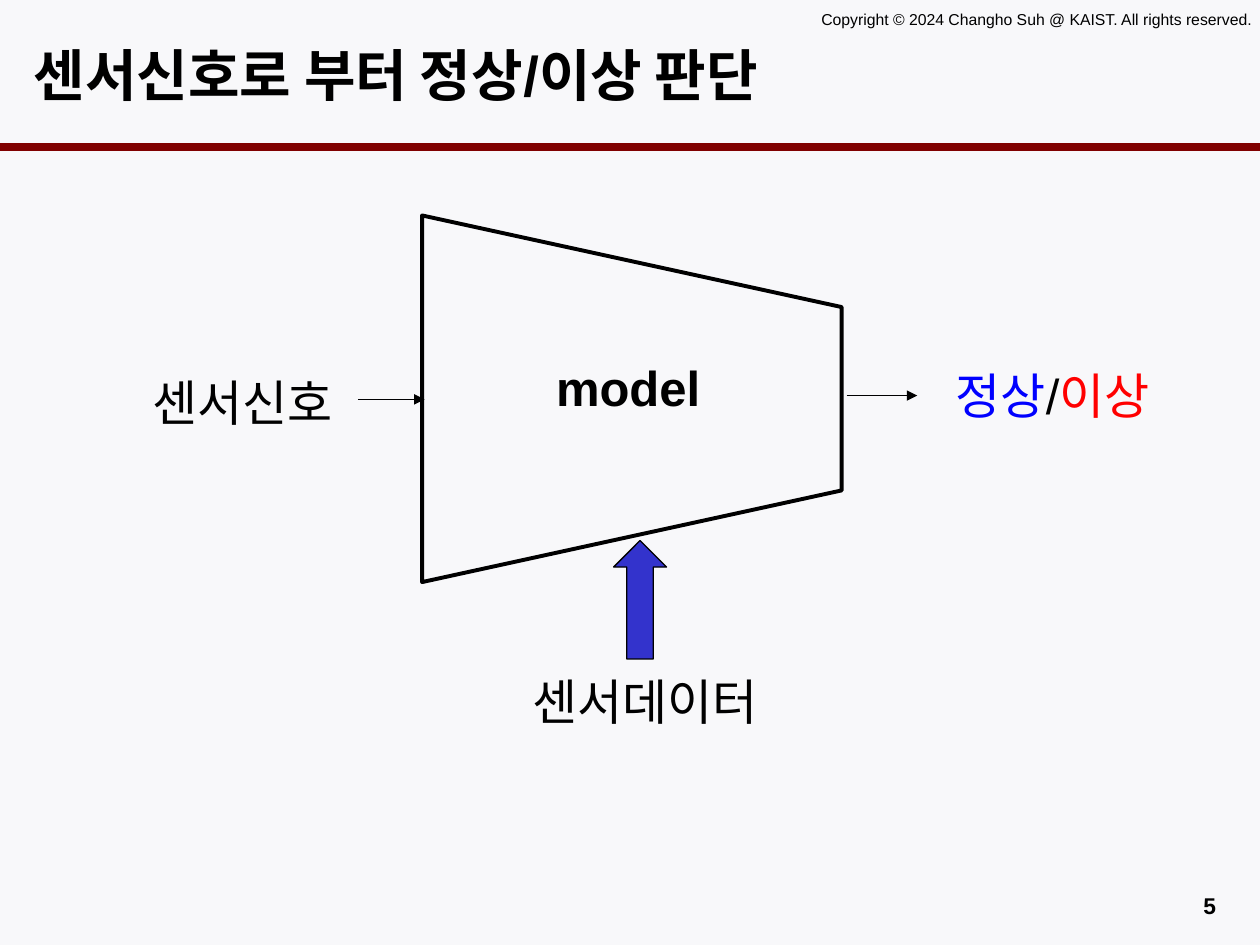
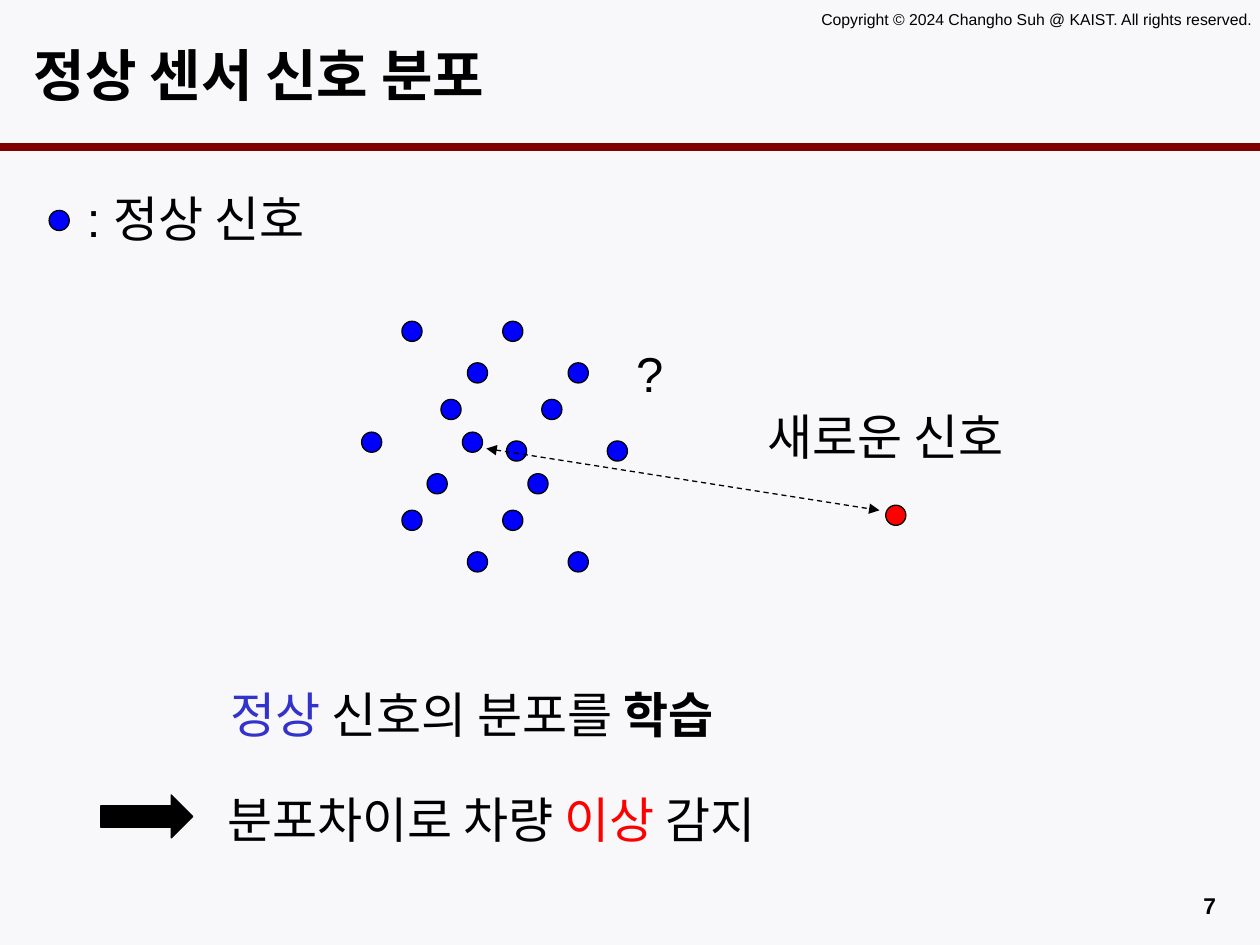
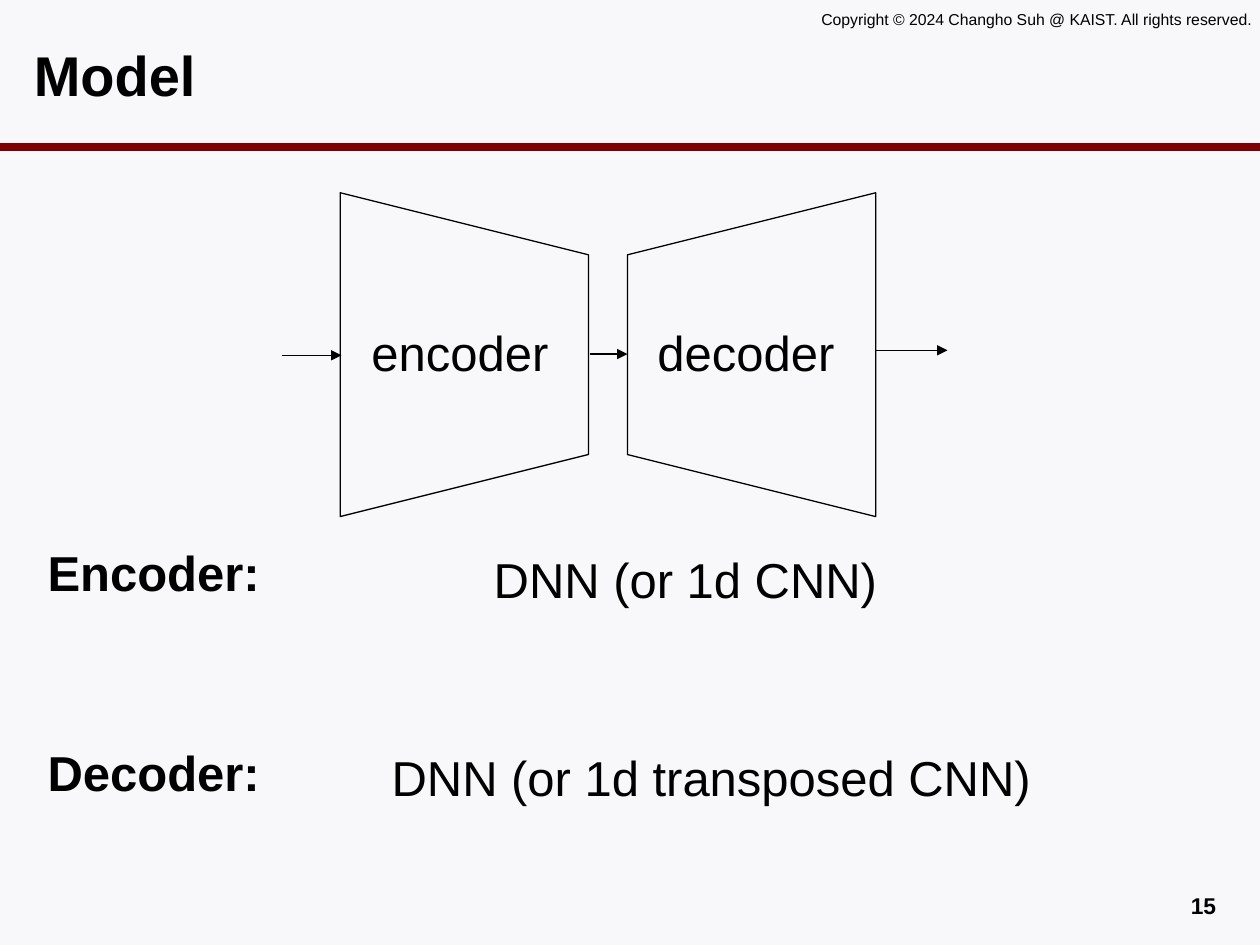
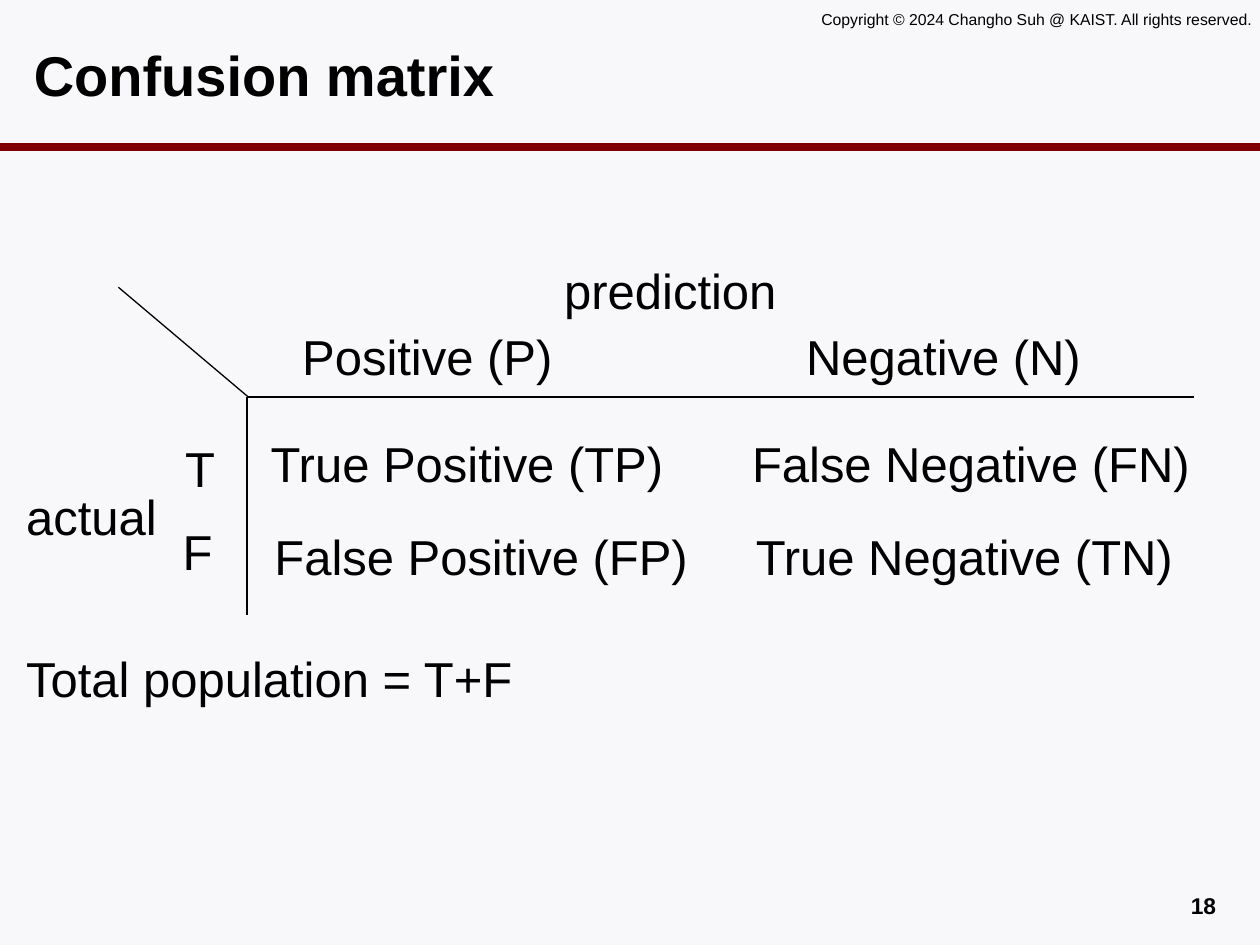
from lxml.etree import SubElement
from pptx import Presentation
from pptx.dml.color import RGBColor
from pptx.enum.dml import MSO_LINE
from pptx.enum.shapes import MSO_CONNECTOR, MSO_SHAPE
from pptx.enum.text import MSO_ANCHOR, MSO_AUTO_SIZE, PP_ALIGN
from pptx.oxml.ns import qn
from pptx.util import Inches, Pt

BACKGROUND = RGBColor(0xF8, 0xF8, 0xFA)
MAROON = RGBColor(0x80, 0x00, 0x00)
BLACK = RGBColor(0x00, 0x00, 0x00)
BLUE = RGBColor(0x00, 0x00, 0xFF)
INDIGO = RGBColor(0x33, 0x33, 0xCC)
RED = RGBColor(0xFF, 0x00, 0x00)

FONT = "Arial"
BODY_SIZE = 28
LABEL_HEIGHT = 0.57
DOT_SIZE = 0.16
THIN = 0.75

COPYRIGHT = "Copyright © 2024 Changho Suh @ KAIST. All rights reserved."

# Labels: text (or runs of text, colour, bold), left, top, width
MODEL_LABELS = [
    ([("정상", BLUE, False), ("/", BLACK, False), ("이상", RED, False)], 7.19, 2.85, 2.33),
    ("센서신호", 0.88, 2.91, 2.09),
    ("센서데이터", 3.81, 5.28, 2.62),
]
DISTRIBUTION_LABELS = [
    ([("정상", INDIGO, False), (" 신호의 분포를 ", BLACK, False), ("학습", BLACK, True)],
     1.73, 5.38, 5.48),
    ("?", 4.95, 2.68, 0.71),
    (": 정상 신호", 0.59, 1.45, 3.08),
    ("새로운 신호", 5.99, 3.18, 2.47),
    ([("분포차이로 차량 ", BLACK, False), ("이상", RED, False), (" 감지", BLACK, False)],
     1.71, 6.22, 8.47),
]
CODER_LABELS = [
    ("DNN (or 1d CNN)", 3.82, 4.31, 3.86),
    ("DNN (or 1d transposed CNN)", 3.01, 5.88, 6.32),
    ([("Encoder:", BLACK, True)], 0.28, 4.26, 2.13),
    ([("Decoder:", BLACK, True)], 0.28, 5.84, 2.13),
]
MATRIX_LABELS = [
    ("prediction", 4.38, 2.02, 2.47),
    ("actual", 0.11, 3.81, 1.45),
    ("Positive (P)", 2.3, 2.54, 3.99),
    ("Negative (N)", 6.3, 2.54, 2.63),
    ("T", 1.37, 3.43, 0.55),
    ("F", 1.35, 4.09, 0.55),
    ("Total population = T+F", 0.11, 5.1, 6.14),
]
# Matrix rows: left, top, texts
MATRIX_ROWS = [
    (2.05, 3.39, ["True Positive (TP)", "False Negative (FN)"]),
    (2.08, 4.13, ["False Positive (FP)", "True Negative (TN)"]),
]
MATRIX_COLUMN_WIDTH = 3.82
MATRIX_LINES = [
    ((0.94, 2.28), (1.97, 3.15)),
    ((1.97, 3.15), (9.48, 3.15)),
    ((1.96, 3.15), (1.96, 4.88)),
]

# Normal signals: every cluster start gives four dots
CLUSTER_STARTS = [(3.19, 2.55), (3.5, 3.17), (2.87, 3.43), (3.19, 4.05)]
CLUSTER_OFFSETS = [(0, 0), (0.8, 0), (0.52, 0.33), (1.32, 0.33)]

# Coders: text, left of the unrotated trapezoid, rotation, text left
CODERS = [("encoder", 2.4, 90, 2.85), ("decoder", 4.68, 270, 5.12)]
CODER_ARROWS = [
    ((6.95, 2.78), (7.52, 2.78)),
    ((2.24, 2.82), (2.71, 2.82)),
    ((4.68, 2.81), (4.98, 2.81)),
]


def add_text(slide, content, left, top, width, height=LABEL_HEIGHT, size=BODY_SIZE,
             align=PP_ALIGN.LEFT, bold=False, wrap=True, grow=True):
    box = slide.shapes.add_textbox(Inches(left), Inches(top), Inches(width), Inches(height))
    frame = box.text_frame
    frame.word_wrap = wrap
    frame.auto_size = MSO_AUTO_SIZE.SHAPE_TO_FIT_TEXT if grow else MSO_AUTO_SIZE.NONE
    paragraph = frame.paragraphs[0]
    paragraph.alignment = align
    paragraph.font.name = FONT
    paragraph.font.size = Pt(size)
    paragraph.font.bold = bold
    paragraph.font.color.rgb = BLACK
    if isinstance(content, str):
        paragraph.add_run().text = content
    else:
        for text, color, run_bold in content:
            run = paragraph.add_run()
            run.text = text
            run.font.color.rgb = color
            run.font.bold = run_bold
    return box


def add_labels(slide, labels, align=PP_ALIGN.LEFT):
    for content, left, top, width in labels:
        add_text(slide, content, left, top, width, align=align)


def add_line(slide, start, end, color=BLACK, width=THIN, dash=None, arrows=()):
    """Arrows names the ends with a head: headEnd at the start, tailEnd at the end."""
    points = [Inches(value) for value in (*start, *end)]
    connector = slide.shapes.add_connector(MSO_CONNECTOR.STRAIGHT, *points)
    connector.line.color.rgb = color
    connector.line.width = Pt(width)
    if dash:
        connector.line.dash_style = dash
    properties = connector._element.spPr
    for arrow in arrows:
        SubElement(properties.find(qn("a:ln")), qn(f"a:{arrow}"), type="triangle")
    SubElement(properties, qn("a:effectLst"))


def add_figure(slide, kind, left, top, width, height, fill=None, rotation=0, line_width=THIN):
    shape = slide.shapes.add_shape(
        kind, Inches(left), Inches(top), Inches(width), Inches(height))
    shape.shadow.inherit = False
    shape.rotation = rotation
    if fill is None:
        shape.fill.background()
    else:
        shape.fill.solid()
        shape.fill.fore_color.rgb = fill
    shape.line.color.rgb = BLACK
    shape.line.width = Pt(line_width)


def add_dot(slide, left, top, color=BLUE):
    add_figure(slide, MSO_SHAPE.OVAL, left, top, DOT_SIZE, DOT_SIZE, color)


def add_base_slide(presentation, title, number):
    slide = presentation.slides.add_slide(presentation.slide_layouts[6])
    add_line(slide, (0, 1.17), (10, 1.17), MAROON, 4.5)
    add_text(slide, COPYRIGHT, 6.42, 0.03, 3.73, 0.25, size=9, wrap=False)
    title_box = add_text(slide, title, 0.17, 0.17, 9.56, 0.83, size=32, bold=True, grow=False)
    title_box.text_frame.vertical_anchor = MSO_ANCHOR.MIDDLE
    add_text(slide, str(number), 7.42, 7.03, 2.33, 0.27, size=13,
             align=PP_ALIGN.RIGHT, bold=True, grow=False)
    return slide


def build_model_slide(presentation):
    slide = add_base_slide(presentation, "센서신호로 부터 정상/이상 판단", 5)
    add_figure(slide, MSO_SHAPE.TRAPEZOID, 3.56, 1.5, 2.91, 3.33, rotation=90, line_width=2.25)
    add_text(slide, "model", 3.53, 2.79, 2.91, 0.69,
             align=PP_ALIGN.CENTER, bold=True, grow=False)
    add_line(slide, (2.84, 3.17), (3.37, 3.17), arrows=["tailEnd"])
    add_line(slide, (6.72, 3.14), (7.28, 3.14), arrows=["tailEnd"])
    add_labels(slide, MODEL_LABELS, PP_ALIGN.CENTER)
    add_figure(slide, MSO_SHAPE.RIGHT_ARROW, 4.61, 4.55, 0.94, 0.42, INDIGO, rotation=270)


def build_distribution_slide(presentation):
    slide = add_base_slide(presentation, "정상 센서 신호 분포", 7)
    for left, top in CLUSTER_STARTS:
        for across, down in CLUSTER_OFFSETS:
            add_dot(slide, left + across, top + down)
    add_labels(slide, DISTRIBUTION_LABELS)
    # Legend dot, then the new signal and its distance
    add_dot(slide, 0.39, 1.67)
    add_line(slide, (3.86, 3.56), (6.98, 4.05), dash=MSO_LINE.DASH,
             arrows=["headEnd", "tailEnd"])
    add_figure(slide, MSO_SHAPE.RIGHT_ARROW, 0.8, 6.31, 0.73, 0.34, BLACK)
    add_dot(slide, 7.03, 4.01, RED)


def build_coder_slide(presentation):
    slide = add_base_slide(presentation, "Model", 15)
    add_labels(slide, CODER_LABELS)
    for text, left, rotation, text_left in CODERS:
        add_figure(slide, MSO_SHAPE.TRAPEZOID, left, 1.83, 2.57, 1.97, rotation=rotation)
        add_text(slide, text, text_left, 2.51, 1.9)
    for start, end in CODER_ARROWS:
        add_line(slide, start, end, arrows=["tailEnd"])


def build_matrix_slide(presentation):
    slide = add_base_slide(presentation, "Confusion matrix", 18)
    for start, end in MATRIX_LINES:
        add_line(slide, start, end)
    add_labels(slide, MATRIX_LABELS)
    for left, top, texts in MATRIX_ROWS:
        for column, text in enumerate(texts):
            add_text(slide, text, left + column * MATRIX_COLUMN_WIDTH, top, MATRIX_COLUMN_WIDTH)


def main():
    presentation = Presentation()
    presentation.slide_width = Inches(10)
    presentation.slide_height = Inches(7.5)
    background = presentation.slide_master.background.fill
    background.solid()
    background.fore_color.rgb = BACKGROUND

    build_model_slide(presentation)
    build_distribution_slide(presentation)
    build_coder_slide(presentation)
    build_matrix_slide(presentation)
    presentation.save("out.pptx")


if __name__ == "__main__":
    main()
